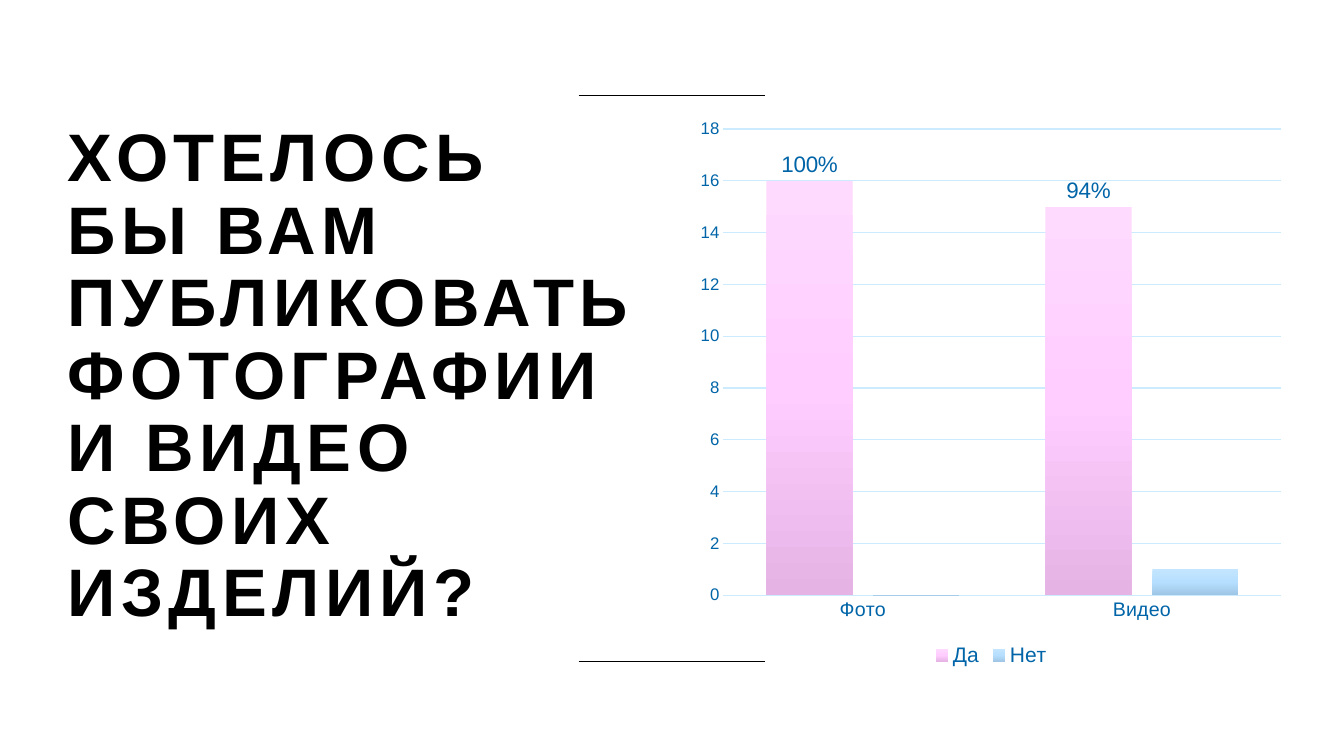
"""Build a survey slide with a question and a clustered column chart."""
import lxml.etree
import pptx
import pptx.chart.data
import pptx.dml.color
import pptx.enum.chart
import pptx.enum.shapes
import pptx.enum.text
import pptx.oxml
import pptx.oxml.ns
import pptx.util
from dataclasses import dataclass

TITLE = "ХОТЕЛОСЬ БЫ ВАМ ПУБЛИКОВАТЬ ФОТОГРАФИИ И ВИДЕО СВОИХ ИЗДЕЛИЙ?"
CATS = ["Фото", "Видео"]
SERIES = [
    {"name": "Да", "vals": [16, 15], "tags": ["100%", "94%"],
     "grad": [(0, "FEDAFE"), (50, "FFCDFF"), (100, "E5B4E5")]},
    {"name": "Нет", "vals": [0, 1], "tags": [],
     "grad": [(0, "C3E5FF"), (50, "B6DFFF"), (100, "9FC6E5")]},
]
SLIDE = (1333, 750)
TITLE_BOX = (67, 133, 567, 483)
CHART_BOX = (683, 108, 600, 558)
RULE_X = (574, 759)
RULE_Y = (95, 656)
SCALE = 9144


@dataclass
class Theme:
    """Hold colours, font and type sizes."""
    font: str = "Arial"
    ink: str = "000000"
    blue: str = "0065A8"
    grid: str = "CCEBFF"
    title: int = 48
    tag: int = 16
    key: int = 15
    cat: int = 14
    val: int = 12


LOOK = Theme()


def px(*nums):
    """Turn px lengths into EMU."""
    return [pptx.util.Emu(num * SCALE) for num in nums]


def rgb(code):
    """Turn a hex code into a colour."""
    return pptx.dml.color.RGBColor.from_string(code)


def style(font, size, color, bold=False):
    """Set face, size, colour and weight."""
    font.name, font.size, font.bold = LOOK.font, pptx.util.Pt(size), bold
    font.color.rgb = rgb(color)


def write(frame, text, size, color, bold=False, space=0, lead=None):
    """Write one formatted paragraph into a text frame."""
    para = frame.paragraphs[0]
    para.line_spacing = lead
    run = para.add_run()
    run.text = text
    style(run.font, size, color, bold)
    if space:
        run._r.get_or_add_rPr().set("spc", str(space * 100))


def stroke(line, color, width):
    """Set line colour and width in points."""
    line.color.rgb = rgb(color)
    line.width = pptx.util.Pt(width)


def shade(fill, props, stops):
    """Fill with a downward gradient of many stops."""
    fill.solid()
    marks = "".join(
        f'<a:gs pos="{pos * 1000}"><a:srgbClr val="{code}"/></a:gs>'
        for pos, code in stops)
    grad = pptx.oxml.parse_xml(
        f'<a:gradFill {pptx.oxml.ns.nsdecls("a")} rotWithShape="1">'
        f'<a:gsLst>{marks}</a:gsLst><a:lin ang="5400000" scaled="0"/></a:gradFill>')
    props.replace(props.find(pptx.oxml.ns.qn("a:solidFill")), grad)


def add_rules(slide):
    """Draw the two short rules."""
    left, right = RULE_X
    for top in RULE_Y:
        rule = slide.shapes.add_connector(
            pptx.enum.shapes.MSO_CONNECTOR.STRAIGHT, *px(left, top, right, top))
        stroke(rule.line, LOOK.ink, 1)
        lxml.etree.SubElement(
            rule._element.spPr, pptx.oxml.ns.qn("a:effectLst"))


def add_title(slide):
    """Place the question."""
    frame = slide.shapes.add_textbox(*px(*TITLE_BOX)).text_frame
    frame.word_wrap = True
    frame.vertical_anchor = pptx.enum.text.MSO_ANCHOR.MIDDLE
    frame.margin_left = frame.margin_right = 0
    frame.margin_top, frame.margin_bottom = px(5, 5)
    write(frame, TITLE, LOOK.title, LOOK.ink, bold=True, space=4, lead=0.9)


def add_chart(slide):
    """Place the column chart."""
    enum = pptx.enum.chart
    data = pptx.chart.data.CategoryChartData()
    data.categories = CATS
    for item in SERIES:
        data.add_series(item["name"], item["vals"])
    chart = slide.shapes.add_chart(
        enum.XL_CHART_TYPE.COLUMN_CLUSTERED, *px(*CHART_BOX), data).chart
    chart.has_title = False
    style(chart.font, 10, LOOK.ink)

    chart.has_legend = True
    chart.legend.position = enum.XL_LEGEND_POSITION.BOTTOM
    chart.legend.include_in_layout = False
    style(chart.legend.font, LOOK.key, LOOK.blue)

    cat, val = chart.category_axis, chart.value_axis
    for axis, size in ((cat, LOOK.cat), (val, LOOK.val)):
        axis.major_tick_mark = axis.minor_tick_mark = enum.XL_TICK_MARK.NONE
        style(axis.tick_labels.font, size, LOOK.blue)
    stroke(cat.format.line, LOOK.grid, 0.75)
    val.format.line.fill.background()
    val.minimum_scale, val.maximum_scale, val.major_unit = 0, 18, 2
    val.has_major_gridlines = True
    stroke(val.major_gridlines.format.line, LOOK.grid, 0.75)

    plot = chart.plots[0]
    plot.gap_width, plot.overlap = 100, -24
    plot.vary_by_categories = False
    for item, bars in zip(SERIES, plot.series):
        bars.invert_if_negative = False
        shade(bars.format.fill, bars._element.spPr, item["grad"])
        if item["tags"]:
            tags = bars.data_labels
            tags.show_value = True
            tags.position = enum.XL_LABEL_POSITION.OUTSIDE_END
            style(tags.font, LOOK.tag, LOOK.blue)
        for num, text in enumerate(item["tags"]):
            tag = bars.points[num].data_label
            write(tag.text_frame, text, LOOK.tag, LOOK.blue)
            tag.position = enum.XL_LABEL_POSITION.OUTSIDE_END


def main():
    """Build and save the deck."""
    deck = pptx.Presentation()
    deck.slide_width, deck.slide_height = px(*SLIDE)
    slide = deck.slides.add_slide(deck.slide_layouts[6])
    add_rules(slide)
    add_title(slide)
    add_chart(slide)
    deck.save("out.pptx")


if __name__ == "__main__":
    main()
